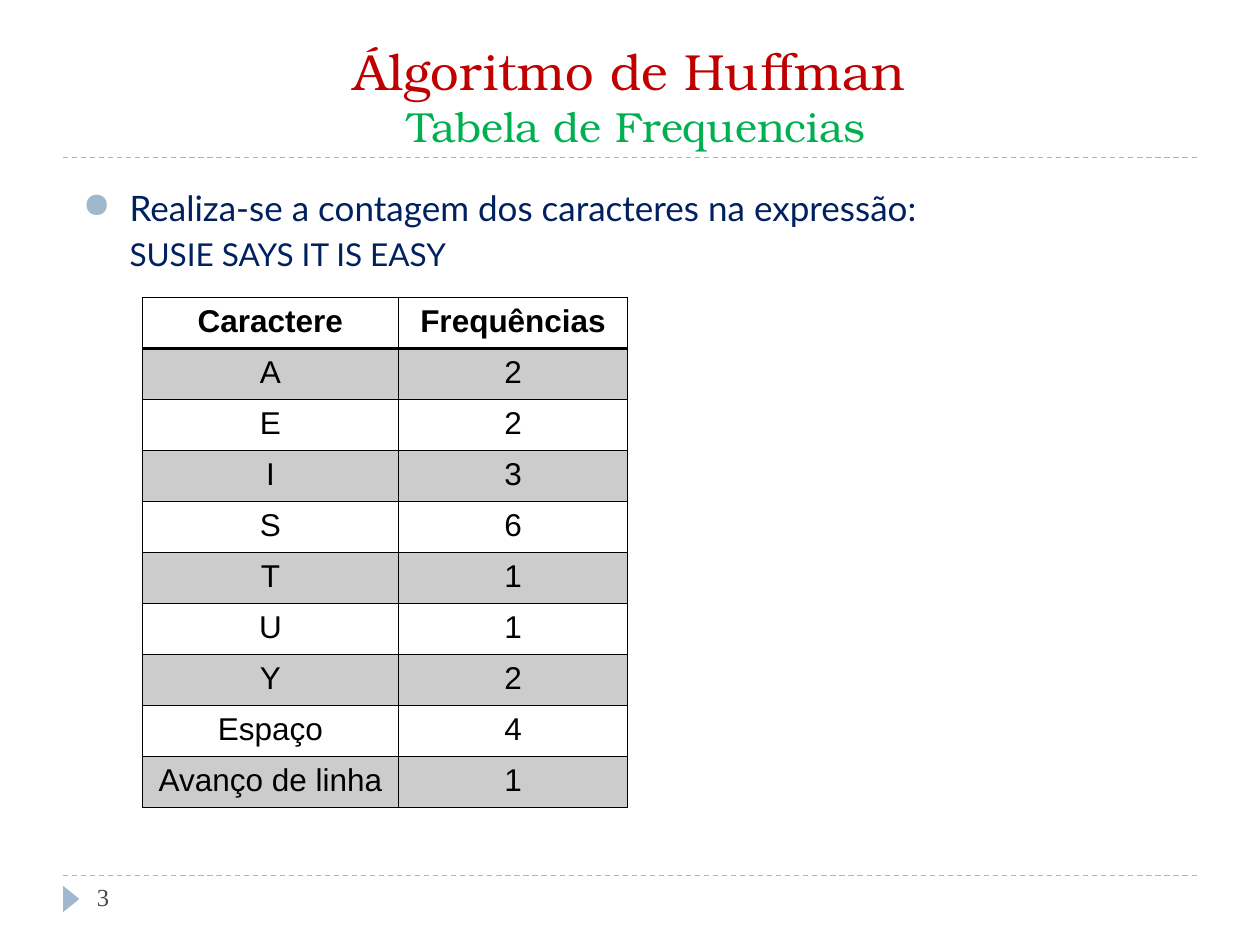
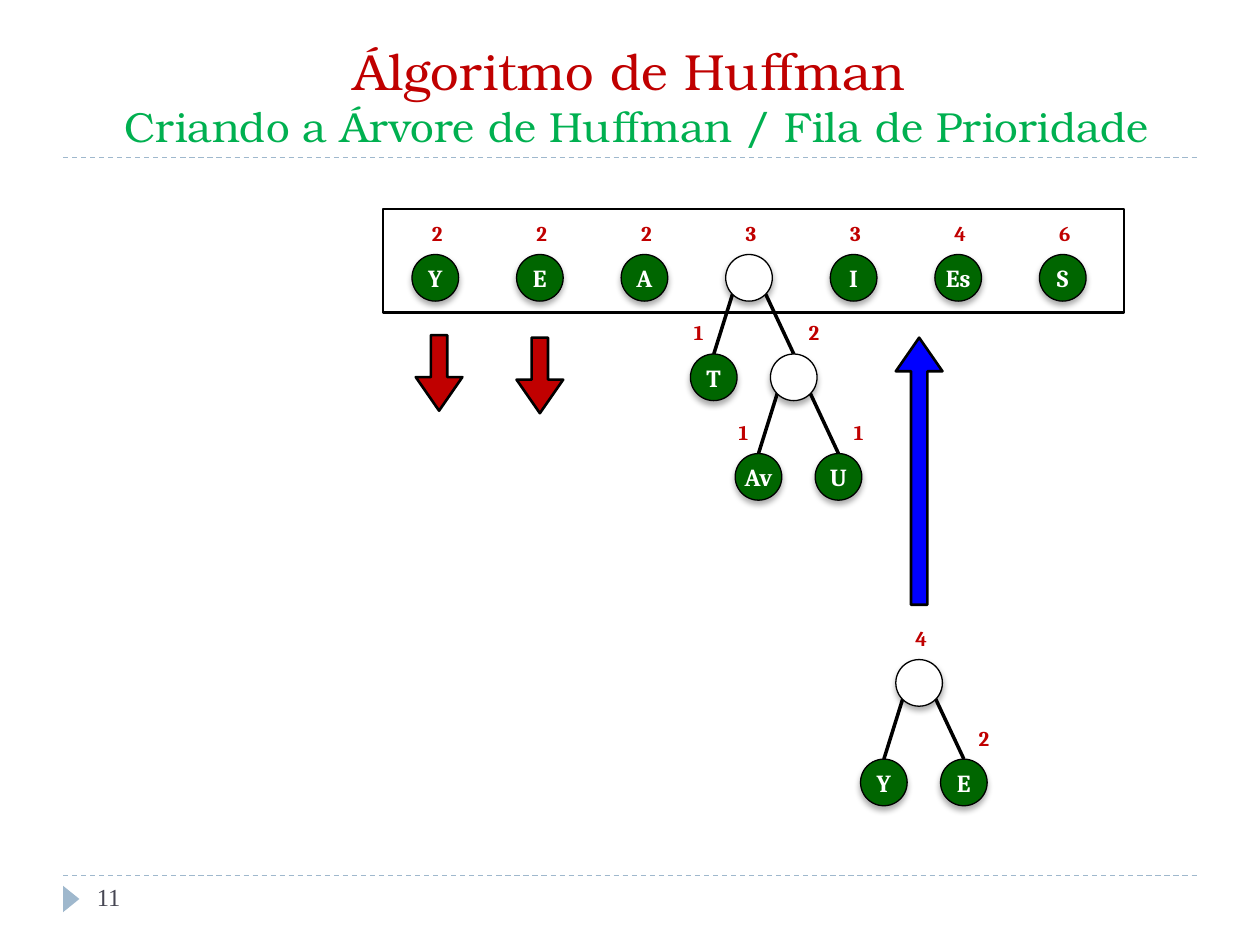
from lxml import etree
from pptx import Presentation
from pptx import util as u
from pptx.dml.color import RGBColor
from pptx.enum import dml, shapes, text
from pptx.oxml.ns import qn

COLORS = {
    "title": "C00000", "subtitle": "00B050", "rule": "9FB8CD", "number": "464653",
    "body": "002060", "ink": "000000", "paper": "FFFFFF", "leaf": "006600",
    "count": "C00000", "remove": "C00000", "insert": "0000FF",
}
UNIT = 0.25  # inches: the slide is a grid of 40 columns by 30 rows
COLUMNS, ROWS = 40, 30

NODE = 1.48                      # diameter of a tree node
LEVEL = 3.16                     # distance between tree levels
LEFT, RIGHT = -1.12, 1.42        # offsets of the two children
COUNT_DX = {"root": 0.06, "left": -0.48, "right": 0.64}


def grid(*lengths):
    """Turn grid lengths into EMU."""
    return [u.Inches(length * UNIT) for length in lengths]


def rgb(name):
    """Look up a colour of the palette."""
    return RGBColor.from_string(COLORS[name])


def child(parent, tag, **attributes):
    """Append a DrawingML element."""
    return etree.SubElement(parent, qn("a:" + tag), attributes)


def add_shadow(effects, blur, distance, direction, alpha):
    """Put a soft black outer shadow (points, degrees, percent) in an effect list."""
    shadow = child(effects, "outerShdw", blurRad=str(u.Pt(blur)), dist=str(u.Pt(distance)),
                   dir=str(direction * 60000), algn="ctr", rotWithShape="0")
    color = child(shadow, "srgbClr", val=COLORS["ink"])
    child(color, "alpha", val=str(alpha * 1000))


class Deck:
    """The style of the presentation and the slide being drawn."""

    def __init__(self):
        self.presentation = Presentation()
        self.presentation.slide_width, self.presentation.slide_height = grid(COLUMNS, ROWS)
        self.layout = self.presentation.slide_layouts[5]
        self.shapes = None

    def new_slide(self, subtitle, number):
        """Start a slide with its title and number."""
        slide = self.presentation.slides.add_slide(self.layout)
        self.shapes = slide.shapes
        if number == FIRST_NUMBER:
            self.frame()
        self.title(slide.shapes.title, subtitle)
        box = self.text_box(2.68, 27.8, 8.68, 1.6)
        self.fill_in(box.text_frame.paragraphs[0], str(number), "Times New Roman", 14, "number")

    def frame(self):
        """Draw the rules and the page marker, and hand them to the layout."""
        parts = [self.line((2, row), (38, row), "rule", 0.75) for row in (27.8, 5)]
        for rule in parts:
            rule.line.dash_style = dml.MSO_LINE.DASH
        marker = self.shape("ISOSCELES_TRIANGLE", 1.84, 28.28, 0.84, 0.52, fill="rule")
        marker.rotation = 90
        for part in parts + [marker]:
            self.layout.shapes.element.append(part.element)

    def title(self, holder, subtitle):
        """Fill the title placeholder with the topic and the subtitle."""
        holder.left, holder.top, holder.width, holder.height = grid(2, 1, 36, 4)
        frame = holder.text_frame
        frame.auto_size = text.MSO_AUTO_SIZE.NONE
        frame.vertical_anchor = text.MSO_ANCHOR.BOTTOM
        heading = frame.paragraphs[0]
        heading.alignment = text.PP_ALIGN.CENTER
        lines = [("Álgoritmo de Huffman", 29, "title"), (" " + subtitle, 24, "subtitle")]
        for words, size, color in lines:
            if heading.runs:
                heading.add_line_break()
                child(heading._p[-1], "rPr", sz="2900")
            run = heading.add_run()
            run.text = words
            self.style(run.font, "TeX Gyre Bonum", size, color)

    @staticmethod
    def style(font, face, size, color, bold=False):
        """Set the look of a font."""
        font.name, font.size, font.bold = face, u.Pt(size), bold
        font.color.rgb = rgb(color)

    def fill_in(self, paragraph, words, face, size, color, bold=False,
                align=text.PP_ALIGN.LEFT):
        """Set one evenly formatted paragraph."""
        paragraph.text = words
        paragraph.alignment = align
        self.style(paragraph.font, face, size, color, bold)

    def text_box(self, *place):
        """Add an empty wrapping text box."""
        box = self.shapes.add_textbox(*grid(*place))
        box.text_frame.word_wrap = True
        return box

    def shape(self, preset, *place, fill=None, line=None, width=1.5):
        """Add a preset shape without shadow."""
        shape = self.shapes.add_shape(shapes.MSO_SHAPE[preset], *grid(*place))
        shape.shadow.inherit = False
        if fill:
            shape.fill.solid()
            shape.fill.fore_color.rgb = rgb(fill)
        else:
            shape.fill.background()
        if line:
            shape.line.color.rgb = rgb(line)
            shape.line.width = u.Pt(width)
        else:
            shape.line.fill.background()
        return shape

    def line(self, start, end, color="ink", width=2):
        """Add a straight line without shadow."""
        line = self.shapes.add_connector(shapes.MSO_CONNECTOR.STRAIGHT, *grid(*start, *end))
        line.line.color.rgb = rgb(color)
        line.line.width = u.Pt(width)
        child(line.element.spPr, "effectLst")
        return line

    def bullet(self, statement, detail):
        """Add a bulleted statement with a detail line below it."""
        frame = self.text_box(2.24, 5.72, 35.76, 1.72).text_frame
        first, second = frame.paragraphs[0], frame.add_paragraph()
        indent = u.Inches(0.37)
        for paragraph in (first, second):
            paragraph._p.get_or_add_pPr().set("marL", str(indent))
        marks = first._p.get_or_add_pPr()
        marks.set("indent", str(-indent))
        child(child(marks, "buClr"), "srgbClr", val=COLORS["rule"])
        child(marks, "buChar", char="●")
        second.space_before = u.Pt(3.6)
        for paragraph, words, size in ((first, statement, 20), (second, detail, 18)):
            self.fill_in(paragraph, words, "Lato", size, "body", align=text.PP_ALIGN.JUSTIFY)

    def table(self, left, top, widths, row_height, rows):
        """Add a ruled table with a header and shaded odd rows."""
        table = self.shapes.add_table(len(rows), len(widths), *grid(
            left, top, sum(widths), row_height * len(rows))).table
        table.first_row = table.horz_banding = False
        for column, width in zip(table.columns, grid(*widths)):
            column.width = width
        for r, row in enumerate(rows):
            for c, words in enumerate(row):
                cell = table.cell(r, c)
                self.borders(cell, top=2 if r == 1 else 1, bottom=2 if r == 0 else 1)
                self.fill_in(cell.text_frame.paragraphs[0], str(words), "Arial", 18, "ink",
                             r == 0, text.PP_ALIGN.CENTER)
                if r % 2:
                    cell.fill.solid()
                    cell.fill.fore_color.rgb = rgb("ink")
                    shade = cell._tc.tcPr.find(qn("a:solidFill"))[0]
                    child(shade, "alpha", val="20000")
                else:
                    cell.fill.background()

    @staticmethod
    def borders(cell, top, bottom):
        """Rule the four sides of a cell."""
        properties = cell._tc.get_or_add_tcPr()
        for side, width in zip("LRTB", (1, 1, top, bottom)):
            border = child(properties, "ln" + side, w=str(u.Pt(width)))
            child(child(border, "solidFill"), "srgbClr", val=COLORS["ink"])

    def node(self, x, y, letter):
        """Add a tree node: green with a letter, or white when it is a joint."""
        circle = self.shape("OVAL", x - NODE / 2, y - NODE / 2, NODE, NODE,
                            fill="leaf" if letter else "paper", line="ink", width=0.75)
        effects = circle.element.spPr.find(qn("a:effectLst"))
        add_shadow(effects, 3.5, 2.2, 90, 32)
        if letter:
            frame = circle.text_frame
            frame.word_wrap = False
            frame.margin_left = frame.margin_right = frame.margin_top = frame.margin_bottom = 0
            frame.vertical_anchor = text.MSO_ANCHOR.MIDDLE
            self.fill_in(frame.paragraphs[0], letter, "Cambria", 14, "paper", True,
                         text.PP_ALIGN.CENTER)

    def count(self, x, y, frequency, side):
        """Add the frequency above a node."""
        width, height = 1.64, 1.2
        frame = self.text_box(x + COUNT_DX[side] - width / 2, y - 1.42 - height / 2,
                              width, height).text_frame
        frame.vertical_anchor = text.MSO_ANCHOR.MIDDLE
        label = frame.paragraphs[0]
        self.fill_in(label, str(frequency), "Cambria", 12, "count", True, text.PP_ALIGN.CENTER)
        effects = child(label.runs[0]._r.get_or_add_rPr(), "effectLst")
        add_shadow(effects, 3, 3, 45, 43)

    def branch(self, x, y, tree, side="root"):
        """Draw a node, its frequency and, below it, its children."""
        letter, frequency, *children = tree
        for subtree, name, dx, joint in zip(children, ("left", "right"), (LEFT, RIGHT),
                                            (-0.52, 0.52)):
            self.line((x + dx, y + LEVEL - NODE / 2), (x + joint, y + 0.5))
            self.branch(x + dx, y + LEVEL, subtree, name)
        self.node(x, y, letter)
        if frequency:
            self.count(x, y, frequency, side)

    def tree(self, x, y, tree):
        """Draw a tree, grouped when it has branches."""
        page = self.shapes
        if len(tree) > 2:
            self.shapes = page.add_group_shape().shapes
        self.branch(x, y, tree)
        self.shapes = page

    def arrow(self, left, top, height, fill, rotation=0):
        """Add a block arrow as wide as a node."""
        arrow = self.shape("DOWN_ARROW", left, top, NODE, height, fill=fill, line="ink")
        arrow.adjustments[0], arrow.adjustments[1] = 0.35, 0.72
        arrow.rotation = rotation


FIRST_NUMBER = 3
FREQUENCIES = [
    ("Caractere", "Frequências"), ("A", 2), ("E", 2), ("I", 3), ("S", 6), ("T", 1),
    ("U", 1), ("Y", 2), ("Espaço", 4), ("Avanço de linha", 1),
]
# A tree is (letter, frequency, left child, right child)
QUEUE = [
    ("Y", 2), ("E", 2), ("A", 2),
    (None, 3, ("T", 1), (None, 2, ("Av", 1), ("U", 1))),
    ("I", 3), ("Es", 4), ("S", 6),
]
JOINED = (None, 4, ("Y", None), ("E", 2))


def main():
    """Build both slides and save them."""
    deck = Deck()

    deck.new_slide("Tabela de Frequencias", FIRST_NUMBER)
    deck.table(4.52, 9.44, (8.13, 7.28), 1.62, FREQUENCIES)
    deck.bullet("Realiza-se a contagem dos caracteres na expressão:", "SUSIE SAYS IT IS EASY")

    deck.new_slide("Criando a Árvore de Huffman / Fila de Prioridade", 11)
    deck.shape("RECTANGLE", 12.16, 6.64, 23.52, 3.28, line="ink")
    for place, tree in enumerate(QUEUE):
        deck.tree(13.82 + 3.32 * place, 8.82, tree)
    deck.arrow(13.2, 10.64, 2.4, "remove")
    deck.arrow(16.4, 10.72, 2.4, "remove")
    deck.tree(29.18, 21.68, JOINED)
    deck.arrow(28.44, 10.72, 8.48, "insert", rotation=180)

    deck.presentation.save("out.pptx")


main()
